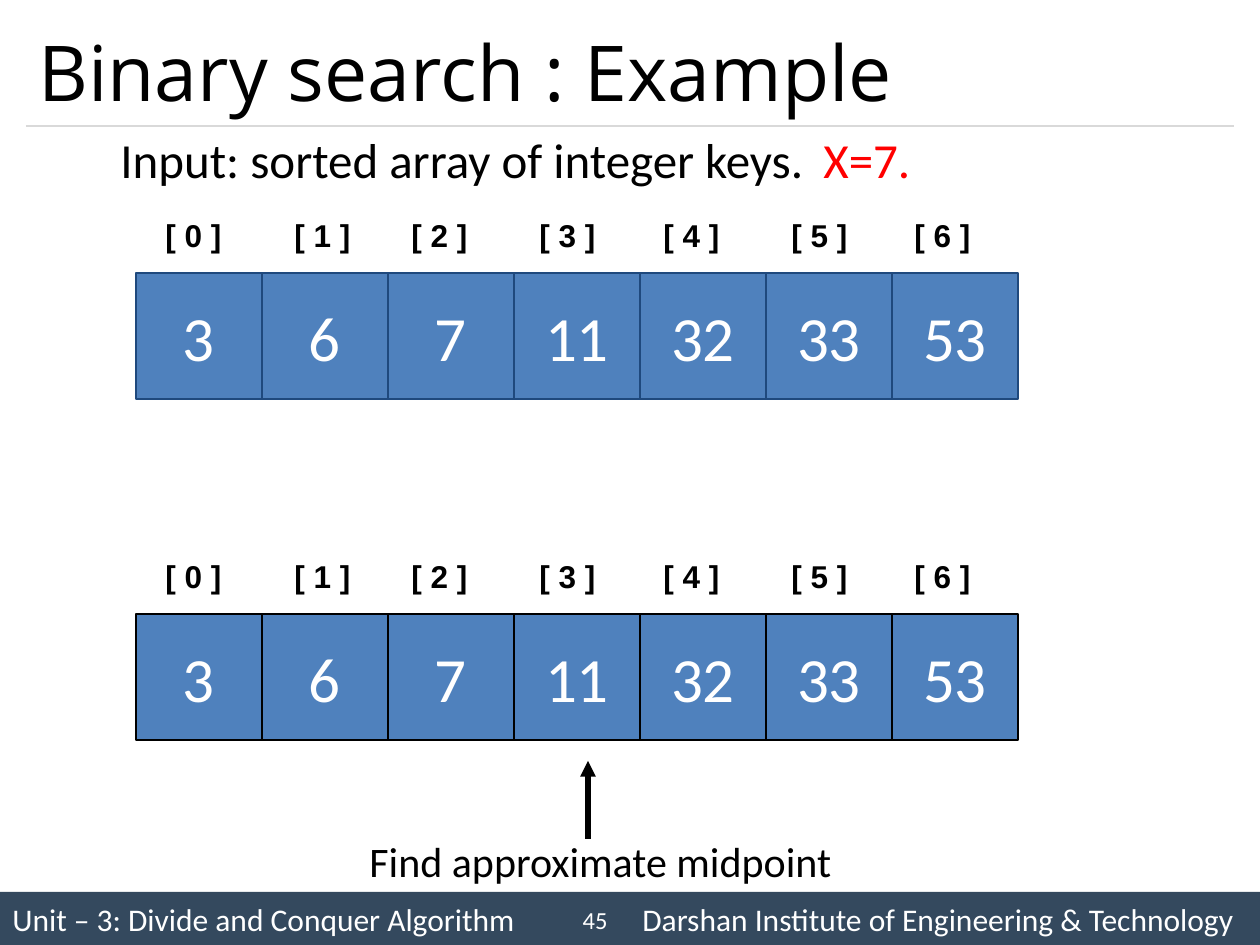
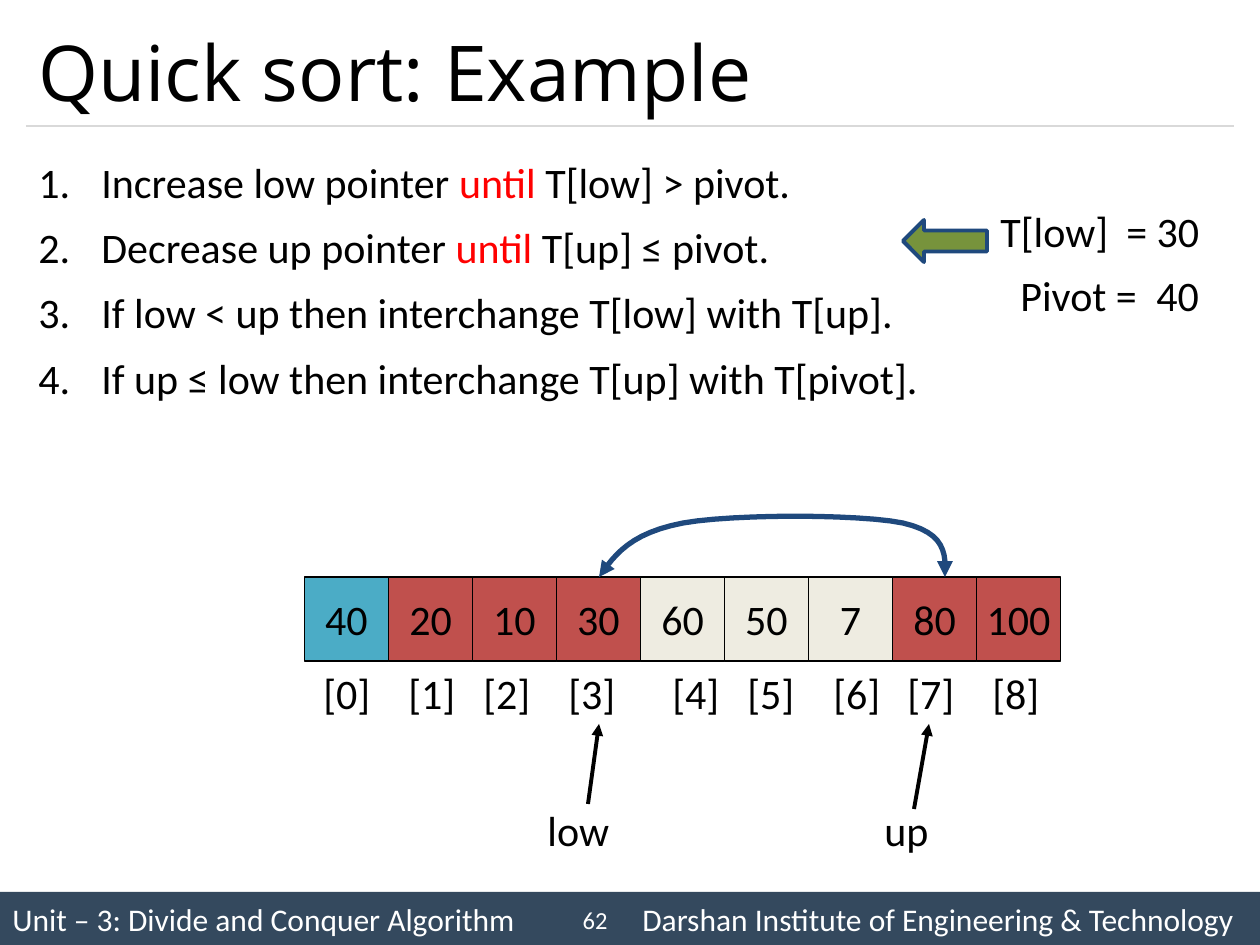
"""Two slides on binary search and quick sort, with shared title, rule and footer."""
from lxml.etree import SubElement
from pptx import Presentation
from pptx.dml.color import RGBColor
from pptx.enum.shapes import MSO_CONNECTOR, MSO_SHAPE
from pptx.enum.text import MSO_ANCHOR, PP_ALIGN
from pptx.oxml.ns import qn
from pptx.util import Pt

PX = 914400 / 126
BLACK = RGBColor(0x00, 0x00, 0x00)
WHITE = RGBColor(0xFF, 0xFF, 0xFF)
RED = RGBColor(0xFF, 0x00, 0x00)
SLATE = RGBColor(0x34, 0x49, 0x5E)
GREY = RGBColor(0xD9, 0xD9, 0xD9)
BLUE = RGBColor(0x4F, 0x81, 0xBD)
NAVY = RGBColor(0x1F, 0x49, 0x7D)
TEAL = RGBColor(0x4B, 0xAC, 0xC6)
BRICK = RGBColor(0xC0, 0x50, 0x4D)
CREAM = RGBColor(0xEE, 0xEC, 0xE1)
GREEN = RGBColor(0x77, 0x93, 0x3C)


def add_text(s, at, text, size=24, color=BLACK, fill=None, line=None, tabs=(),
             frame=None, para=None, font=None):
    """Add a text box or filled rectangle; parts between bars alternate with red."""
    at = [round(v * PX) for v in at]
    if fill is None:
        sp = s.shapes.add_textbox(*at)
    else:
        sp = s.shapes.add_shape(MSO_SHAPE.RECTANGLE, *at)
        sp.shadow.inherit = False
        sp.fill.solid()
        sp.fill.fore_color.rgb = fill
        if line is None:
            sp.line.fill.background()
        else:
            sp.line.color.rgb = line
            sp.line.width = Pt(0.75)
    tf = sp.text_frame
    for key, value in {"word_wrap": True, "vertical_anchor": MSO_ANCHOR.TOP, **(frame or {})}.items():
        setattr(tf, key, value)
    for i, row in enumerate(text.split("\n")):
        p = tf.add_paragraph() if i else tf.paragraphs[0]
        if tabs:
            tab_list = SubElement(p._p.get_or_add_pPr(), qn("a:tabLst"))
            for pos in tabs:
                SubElement(tab_list, qn("a:tab"), pos=str(round(pos * PX)), algn="l")
        for key, value in {"alignment": PP_ALIGN.LEFT, **(para or {})}.items():
            setattr(p, key, value)
        for j, part in enumerate(row.split("|")):
            r = p.add_run()
            r.text = part
            r.font.color.rgb = RED if j % 2 else color
            for key, value in {"size": Pt(size), "name": "Calibri", **(font or {})}.items():
                setattr(r.font, key, value)
    return tf


def add_line(s, ends, color, width, arrow=True):
    """Add a straight connector, with an arrowhead at its far end if wanted."""
    c = s.shapes.add_connector(MSO_CONNECTOR.STRAIGHT, *[round(v * PX) for v in ends])
    c.line.color.rgb = color
    c.line.width = Pt(width)
    SubElement(c._element.spPr, qn("a:effectLst"))
    if arrow:
        SubElement(c.line._get_or_add_ln(), qn("a:tailEnd"), type="triangle")


MIDDLE = {"vertical_anchor": MSO_ANCHOR.MIDDLE}
CELL = {**MIDDLE, "word_wrap": False}
CENTER = {"alignment": PP_ALIGN.CENTER}

prs = Presentation()
prs.slide_width = round(1260 * PX)
prs.slide_height = round(945 * PX)

slides = []
for title, number in (("Binary search : Example", "45"), ("Quick sort: Example", "62")):
    s = prs.slides.add_slide(prs.slide_layouts[6])
    add_text(s, (0, 892, 1260, 53),
             "Unit – 3: Divide and Conquer Algorithm\tDarshan Institute of Engineering & Technology",
             18, WHITE, SLATE, tabs=[630], frame=MIDDLE)
    add_line(s, (26, 126, 1234, 126), GREY, 0.75, arrow=False)
    add_text(s, (26, 15, 1208, 111), title, 44, frame=MIDDLE, font={"name": "Open Sans"})
    add_text(s, (557, 895, 63, 50), number, 14, WHITE, frame=MIDDLE,
             para={"alignment": PP_ALIGN.RIGHT})
    slides.append(s)

s = slides[0]
add_text(s, (108, 123, 900, 72), "Input: sorted array of integer keys.\t|X=7.", 28, tabs=[703])
for label_top, cell_top, outline in ((210, 273, NAVY), (551, 614, BLACK)):
    for i, left in enumerate((153, 282, 399, 527, 651, 779, 902)):
        add_text(s, (left, label_top, 99, 50), f"[ {i} ]", 18, font={"name": "Arial", "bold": True})
    for i, key in enumerate((3, 6, 7, 11, 32, 33, 53)):
        add_text(s, (136 + 126 * i, cell_top, 126, 126), str(key), 36, WHITE, BLUE, outline,
                 frame=CELL, para=CENTER)
add_line(s, (588, 839, 588, 761), BLACK, 3)
add_text(s, (357, 829, 510, 63), "Find approximate midpoint")

s = slides[1]
steps = """Increase low pointer |until| T[low] > pivot.
Decrease up pointer |until| T[up] ≤ pivot.
If low < up then interchange T[low] with T[up].
If up ≤ low then interchange T[up] with T[pivot]."""
tf = add_text(s, (26, 143, 1208, 280), steps,
              para={"alignment": PP_ALIGN.JUSTIFY, "line_spacing": 1.14})
for i, p in enumerate(tf.paragraphs):
    pPr = p._p.get_or_add_pPr()
    pPr.set("marL", str(round(63 * PX)))
    pPr.set("indent", str(round(-63 * PX)))
    SubElement(pPr, qn("a:buAutoNum"), type="arabicPeriod")
    if i:
        p.space_before = Pt(4.5)

values = (40, 20, 10, 30, 60, 50, 7, 80, 100)
fills = [TEAL] + [BRICK] * 3 + [CREAM] * 3 + [BRICK] * 2
for i, (value, fill) in enumerate(zip(values, fills)):
    add_text(s, (304.5 + 84 * i, 577, 84, 84), str(value), fill=fill, line=BLACK,
             frame=CELL, para=CENTER)
add_text(s, (311, 661, 770, 63), "\t".join(f"[{i}]" for i in range(len(values))),
         tabs=(85, 160, 245, 349, 424, 510, 584, 669))

for name, left, width, ends in (("low", 535, 105, (588, 804, 599, 724)),
                                ("up", 872, 84, (914, 809, 929, 724))):
    add_text(s, (left, 798, width, 63), name)
    add_line(s, ends, BLACK, 2.25)

add_text(s, (988, 199, 240, 63), "T[low]\t= 30", tabs=[126])
add_text(s, (1008, 263, 220, 63), "Pivot =\t40", tabs=[136])
sp = s.shapes.add_shape(MSO_SHAPE.LEFT_ARROW, *[round(v * PX) for v in (903, 220, 84, 42)])
sp.shadow.inherit = False
sp.fill.solid()
sp.fill.fore_color.rgb = GREEN
sp.line.color.rgb = NAVY
sp.line.width = Pt(2.25)

curve = ((599, 577), (615, 554), (631, 533), (683, 523), (733, 514), (859, 514), (903, 523),
         (946, 533), (946, 554), (945, 577))
points = []
for k in range(0, 9, 3):
    for step in range(1, 13):
        t = step / 12
        weights = ((1 - t) ** 3, 3 * t * (1 - t) ** 2, 3 * t * t * (1 - t), t ** 3)
        points.append([sum(w * c[axis] for w, c in zip(weights, curve[k:k + 4])) * PX
                       for axis in (0, 1)])
fb = s.shapes.build_freeform(curve[0][0] * PX, curve[0][1] * PX)
fb.add_line_segments(points, close=False)
sp = fb.convert_to_shape()
sp.shadow.inherit = False
sp.fill.background()
sp.line.color.rgb = NAVY
sp.line.width = Pt(3)
for end in ("a:headEnd", "a:tailEnd"):
    SubElement(sp.line._get_or_add_ln(), qn(end), type="triangle")

prs.save("out.pptx")
